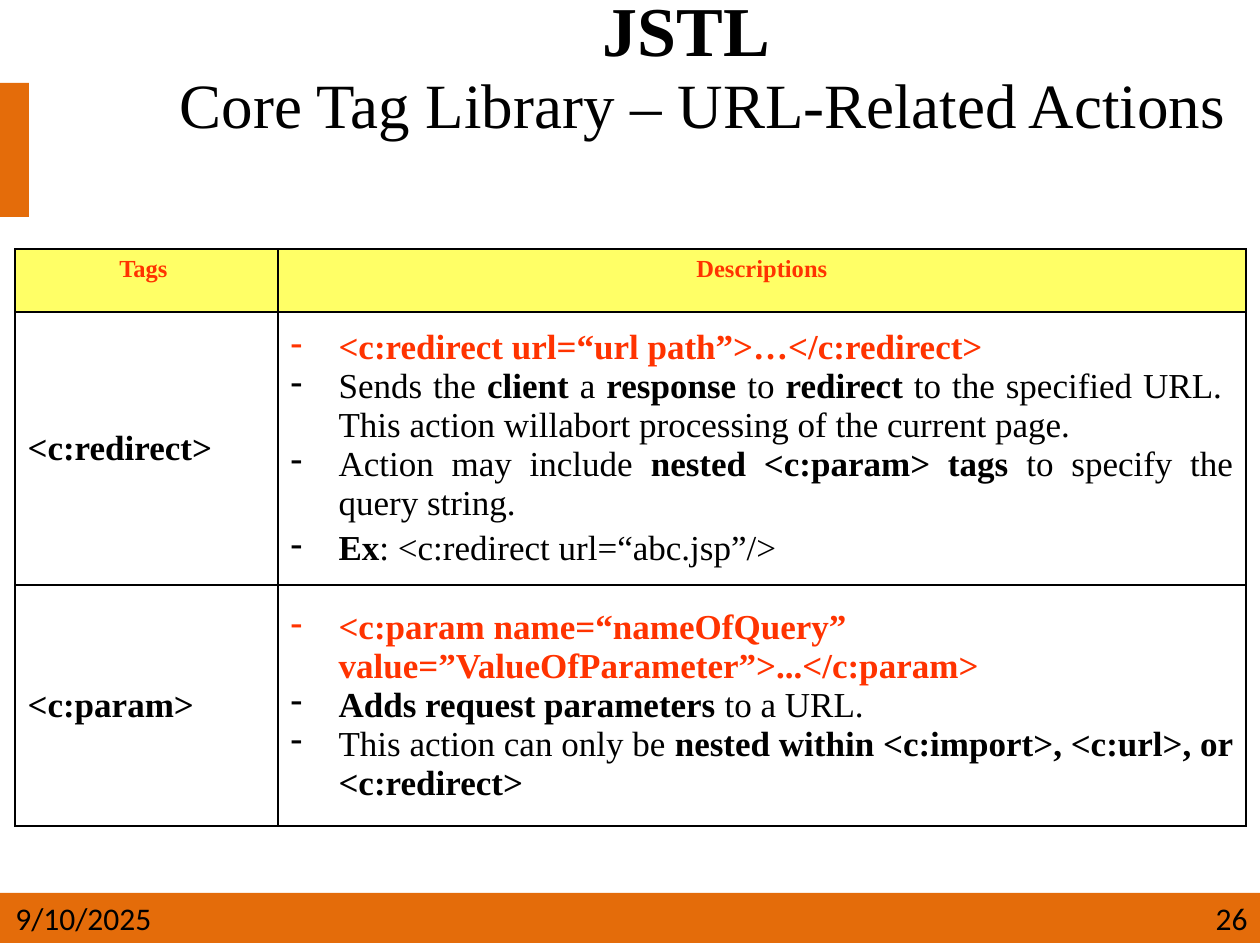
from lxml.etree import SubElement
from pptx import Presentation
from pptx.dml.color import RGBColor
from pptx.enum.shapes import MSO_SHAPE
from pptx.enum.text import MSO_ANCHOR as ANCHOR, MSO_AUTO_SIZE, PP_ALIGN as ALIGN
from pptx.oxml.ns import qn
from pptx.util import Emu, Pt

ORANGE = RGBColor(0xE4, 0x6C, 0x0A)
YELLOW = RGBColor(0xFF, 0xFF, 0x66)
RED = RGBColor(0xFF, 0x33, 0x00)
BLACK = RGBColor(0, 0, 0)
PX = 914400 / 126
INDENT = 48


def px(*lengths):
    return [Emu(round(n * PX)) for n in lengths]


def write(p, text, size=20, font="Times New Roman", color=BLACK, bold=False,
          align=ALIGN.LEFT, indent=0, bullet=None):
    """Add text to a paragraph; each ** switches bold on or off."""
    p.alignment = align
    if indent:
        pPr = p._p.get_or_add_pPr()
        left = px(indent)[0]
        pPr.set("marL", str(left))
        pPr.set("indent", str(-left))
        if bullet:
            SubElement(pPr, qn("a:buFontTx"))
            SubElement(pPr, qn("a:buChar")).set("char", bullet)
    for i, part in enumerate(text.split("**")):
        if part:
            r = p.add_run()
            r.text = part
            r.font.size, r.font.name = Pt(size), font
            r.font.color.rgb = color
            r.font.bold = bold != (i % 2 == 1)


prs = Presentation()
prs.slide_width, prs.slide_height = px(1260, 945)
s = prs.slides.add_slide(prs.slide_layouts[5])

# Orange bars
for box in [(0, 83, 29, 134), (0, 893, 1260, 50)]:
    sp = s.shapes.add_shape(MSO_SHAPE.RECTANGLE, *px(*box))
    sp.fill.solid()
    sp.fill.fore_color.rgb = ORANGE
    sp.line.fill.background()
    sp.shadow.inherit = False

# Title
title = s.shapes.title
title.left, title.top, title.width, title.height = px(126, 0, 1134, 146)
tf = title.text_frame
tf.word_wrap = True
tf.auto_size = MSO_AUTO_SIZE.NONE
tf.vertical_anchor = ANCHOR.MIDDLE
p = tf.paragraphs[0]
p.line_spacing = 0.8
write(p, "JSTL ", size=40, bold=True, align=ALIGN.CENTER)
p.add_line_break()
write(p, " ", size=44, bold=True, align=ALIGN.CENTER)
write(p, "Core Tag Library – URL-Related Actions", size=36, align=ALIGN.CENTER)

# Table of tags: the first line of each description is the syntax
rows = [
    ("Tags ", ["Descriptions"]),
    ("<c:redirect>", [
        "<c:redirect url=“url path”>…</c:redirect>",
        "Sends the **client** a **response** to **redirect** to the specified URL.  "
        "This action willabort processing of the current page.",
        "Action may include **nested <c:param> tags** to specify the query string.",
        "**Ex**: <c:redirect url=“abc.jsp”/>",
    ]),
    ("<c:param>", [
        "<c:param name=“nameOfQuery” value=”ValueOfParameter”>...</c:param>",
        "**Adds request parameters** to a URL.",
        "This action can only be **nested within <c:import>, <c:url>, or <c:redirect>**",
    ]),
]
table = s.shapes.add_table(3, 2, *px(15, 249, 1231, 577)).table
table.first_row = table.horz_banding = False
for col, width in zip(table.columns, px(263, 968)):
    col.width = width
for row, height in zip(table.rows, px(63, 273, 241)):
    row.height = height

for i, (tag, lines) in enumerate(rows):
    for j, texts in enumerate([[tag], lines]):
        cell = table.cell(i, j)
        tcPr = cell._tc.get_or_add_tcPr()
        for side in ("lnL", "lnR", "lnT", "lnB"):
            ln = SubElement(tcPr, qn(f"a:{side}"), w=str(Pt(1)))
            fill = SubElement(ln, qn("a:solidFill"))
            SubElement(fill, qn("a:srgbClr"), val=str(BLACK))
        if i == 0:
            cell.fill.solid()
            cell.fill.fore_color.rgb = YELLOW
        else:
            cell.fill.background()
            cell.vertical_anchor = ANCHOR.MIDDLE
        tf = cell.text_frame
        for k, text in enumerate(texts):
            p = tf.add_paragraph() if k else tf.paragraphs[0]
            if i == 0:
                write(p, text, size=14, color=RED, bold=True,
                      align=ALIGN.CENTER, indent=INDENT)
            elif j == 0:
                write(p, text, bold=True, indent=INDENT)
            elif k == 0:
                write(p, text, color=RED, bold=True, indent=INDENT, bullet="-")
            else:
                write(p, text, align=ALIGN.JUSTIFY, indent=INDENT, bullet="-")
            if text.startswith("**Ex"):
                p.space_before = Pt(4)

# Date and slide number
for text, left, width, align in [("9/10/2025", 3, 191, ALIGN.LEFT),
                                 ("26", 882, 378, ALIGN.RIGHT)]:
    tf = s.shapes.add_textbox(*px(left, 893, width, 50)).text_frame
    tf.word_wrap = True
    write(tf.paragraphs[0], text, size=18, font="Calibri", align=align)

prs.save("out.pptx")
